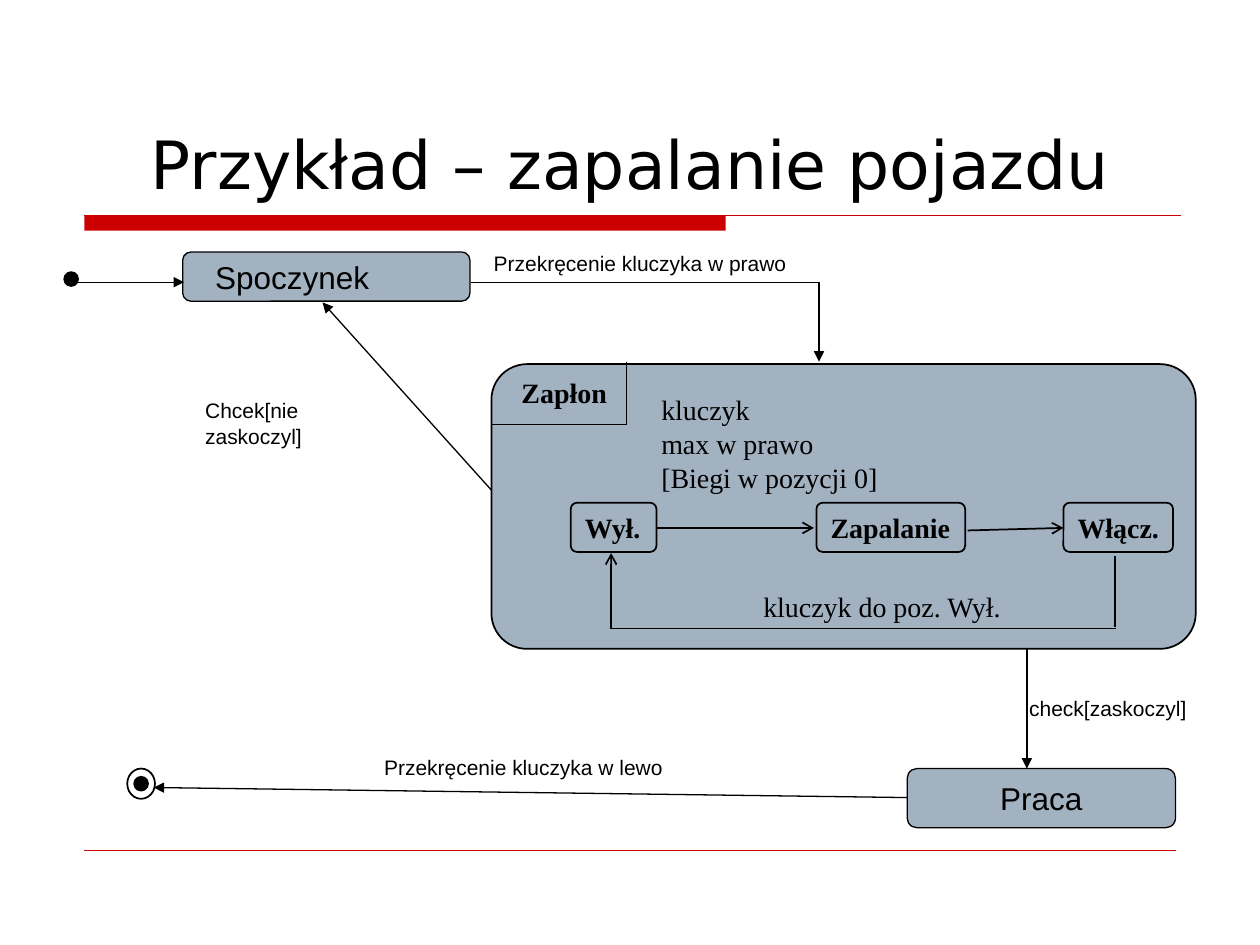
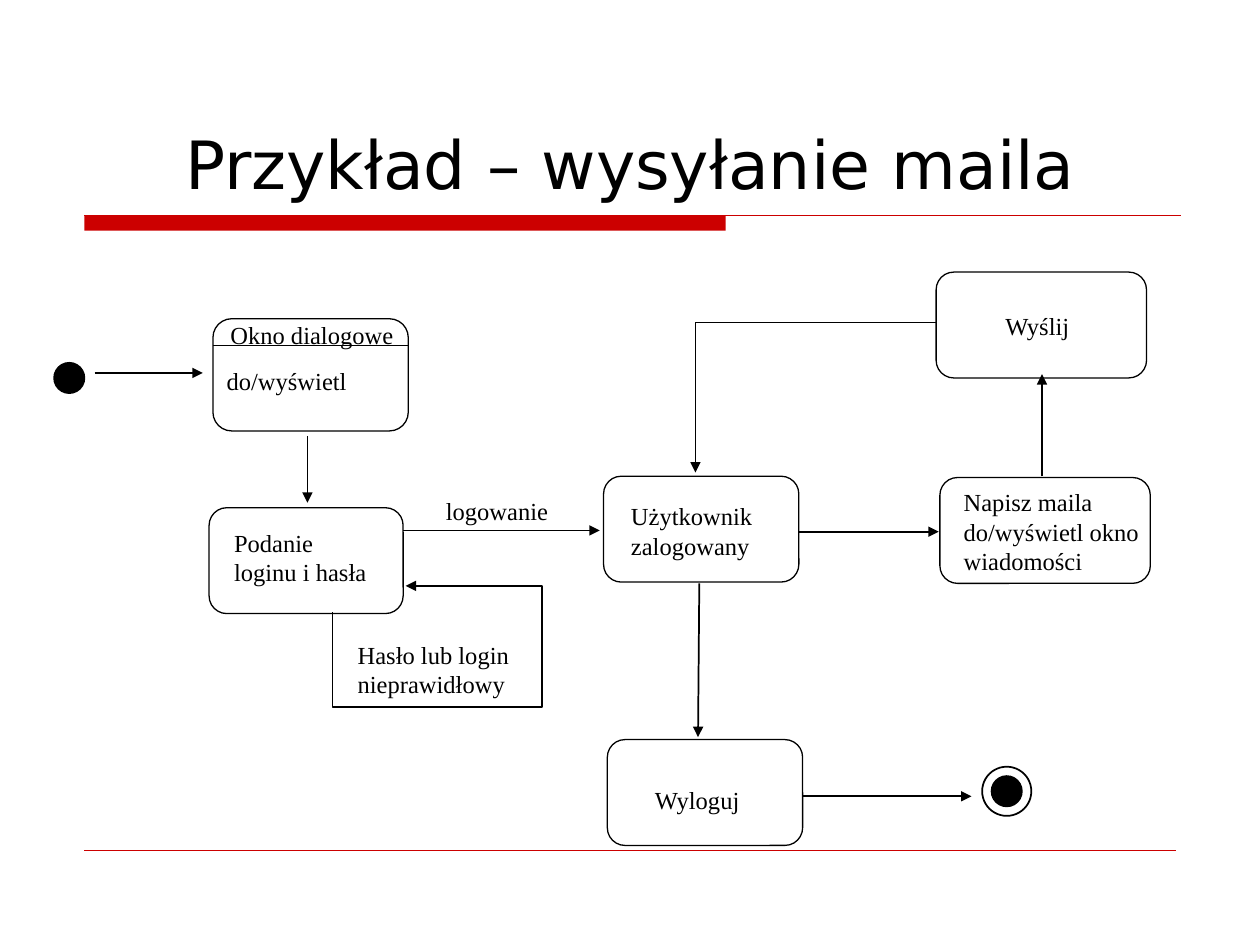
from lxml import etree
from pptx import Presentation
from pptx.dml.color import RGBColor
from pptx.enum.shapes import MSO_CONNECTOR as CONNECTOR, MSO_SHAPE as SHAPE
from pptx.enum.text import MSO_ANCHOR as ANCHOR, PP_ALIGN as ALIGN
from pptx.oxml.ns import qn
from pptx.util import Inches, Pt

BLACK = "000000"
RED = "CC0000"
STEEL = "A3B2C1"
SANS, SERIF, TITLE_FONT = "Arial", "Times New Roman", "DejaVu Sans"


def color(hex_string):
    return RGBColor.from_string(hex_string)


def inches(*lengths):
    return [Inches(length) for length in lengths]


def write(shape, text, size=14, font=SERIF, bold=False, align=ALIGN.LEFT,
          anchor=ANCHOR.TOP, wrap=True):
    """Fill a shape with text, one paragraph for each line."""
    frame = shape.text_frame
    frame.word_wrap = wrap
    frame.vertical_anchor = anchor
    frame.text = text
    for paragraph in frame.paragraphs:
        paragraph.alignment = align
        paragraph.font.size = Pt(size)
        paragraph.font.name = font
        paragraph.font.bold = bold
        paragraph.font.color.rgb = color(BLACK)


def add_label(slide, text, left, top, width, height, **text_format):
    box = slide.shapes.add_textbox(*inches(left, top, width, height))
    write(box, text, **text_format)


def style_line(shape, line_color, width):
    shape.line.color.rgb = color(line_color)
    shape.line.width = Pt(width)


def style_shape(shape, fill=None, line_color=BLACK, width=1):
    shape.shadow.inherit = False
    if fill:
        shape.fill.solid()
        shape.fill.fore_color.rgb = color(fill)
    else:
        shape.fill.background()
    style_line(shape, line_color, width)


def add_state(slide, left, top, width, height, fill=None, line_width=0.75,
              corner=0.167):
    state = slide.shapes.add_shape(SHAPE.ROUNDED_RECTANGLE,
                                   *inches(left, top, width, height))
    state.adjustments[0] = corner
    style_shape(state, fill, width=line_width)
    return state


def add_circle(slide, center_x, center_y, width, height=None, fill=None):
    height = height or width
    circle = slide.shapes.add_shape(
        SHAPE.OVAL, *inches(center_x - width / 2, center_y - height / 2, width, height))
    style_shape(circle, fill)


def add_arrowhead(shape, head):
    etree.SubElement(shape.line._get_or_add_ln(), qn("a:tailEnd"), type=head)


def add_line(slide, start, end, width=1, head=None, line_color=BLACK):
    line = slide.shapes.add_connector(CONNECTOR.STRAIGHT, *inches(*start, *end))
    style_line(line, line_color, width)
    if head:
        add_arrowhead(line, head)
    etree.SubElement(line._element.spPr, qn("a:effectLst"))


def add_loop(slide, points, head):
    """Draw an open bent line that ends in an arrowhead."""
    start, *rest = [tuple(inches(*point)) for point in points]
    builder = slide.shapes.build_freeform(*start)
    builder.add_line_segments(rest, close=False)
    loop = builder.convert_to_shape()
    style_shape(loop)
    add_arrowhead(loop, head)


def add_titled_slide(presentation, title):
    slide = presentation.slides.add_slide(presentation.slide_layouts[6])
    band = slide.shapes.add_shape(SHAPE.RECTANGLE, *inches(0.67, 1.71, 5.09, 0.12))
    style_shape(band, RED)
    band.line.fill.background()
    add_line(slide, (0.67, 1.71), (9.37, 1.71), 0.75, line_color=RED)
    add_line(slide, (0.67, 6.75), (9.33, 6.75), 0.25, line_color=RED)
    add_label(slide, title, 0.63, 0.33, 8.75, 1.33, size=38, font=TITLE_FONT,
              align=ALIGN.CENTER, anchor=ANCHOR.BOTTOM)
    return slide


def add_ignition_state(slide):
    add_state(slide, 3.9, 2.89, 5.59, 2.26, STEEL, 1, 0.125)
    add_label(slide, "Zapłon", 4.04, 2.93, 0.88, 0.36, size=16, bold=True, wrap=False)
    add_line(slide, (3.9, 3.37), (4.98, 3.37), 0.75)
    add_line(slide, (4.97, 3.37), (4.97, 2.87), 0.75)

    for name, left, width in (("Wył.", 4.53, 0.68), ("Zapalanie", 6.48, 1.18),
                              ("Włącz.", 8.44, 0.87)):
        state = add_state(slide, left, 3.99, width, 0.39, line_width=1, corner=0.125)
        write(state, name, size=16, bold=True, wrap=False)

    add_label(slide, "kluczyk\nmax w prawo\n[Biegi w pozycji 0]",
              5.15, 3.07, 1.92, 0.9, size=16, wrap=False)
    add_label(slide, "kluczyk do poz. Wył.", 5.96, 4.63, 2.1, 0.36, size=16, wrap=False)
    add_line(slide, (5.21, 4.19), (6.46, 4.19), head="arrow")
    add_line(slide, (7.68, 4.21), (8.44, 4.19), head="arrow")
    add_line(slide, (8.85, 4.41), (8.85, 4.98))
    add_line(slide, (8.86, 4.99), (4.84, 4.99), 0.75)
    add_line(slide, (4.85, 4.99), (4.85, 4.39), head="arrow")


def build_vehicle_slide(presentation):
    slide = add_titled_slide(presentation, "Przykład – zapalanie pojazdu")
    add_state(slide, 1.45, 2, 2.28, 0.39, STEEL)
    add_label(slide, "Spoczynek", 1.61, 2, 2.05, 0.4, size=18, font=SANS)
    add_ignition_state(slide)
    work = add_state(slide, 7.2, 6.1, 2.13, 0.47, STEEL)
    write(work, "Praca", size=18, font=SANS, align=ALIGN.CENTER,
          anchor=ANCHOR.MIDDLE, wrap=False)

    add_circle(slide, 0.565, 2.215, 0.11, fill=BLACK)
    add_circle(slide, 1.12, 6.22, 0.22, 0.24)
    add_circle(slide, 1.12, 6.22, 0.11, fill=BLACK)

    add_line(slide, (3.74, 2.24), (6.49, 2.24), 0.75)
    for start, end in (((0.59, 2.24), (1.46, 2.24)),
                       ((6.5, 2.24), (6.5, 2.87)),
                       ((3.9, 3.89), (2.56, 2.4)),
                       ((8.15, 5.15), (8.15, 6.1)),
                       ((7.2, 6.33), (1.22, 6.25))):
        add_line(slide, start, end, 0.75, "triangle")

    for text, left, top, width, wrap in (
            ("Przekręcenie kluczyka w prawo", 3.82, 1.94, 2.91, True),
            ("Przekręcenie kluczyka w lewo", 2.95, 5.94, 2.91, True),
            ("check[zaskoczyl]", 8.07, 5.47, 1.45, False),
            ("Chcek[nie zaskoczyl]", 1.53, 3.11, 1.75, False)):
        add_label(slide, text, left, top, width, 0.3, size=12, font=SANS, wrap=wrap)


def build_mail_slide(presentation):
    slide = add_titled_slide(presentation, "Przykład – wysyłanie maila")
    for left, top, width, height in ((1.69, 2.53, 1.55, 0.89),
                                     (1.66, 4.03, 1.54, 0.84),
                                     (4.79, 3.78, 1.55, 0.84),
                                     (4.82, 5.87, 1.55, 0.84),
                                     (7.46, 3.79, 1.67, 0.84),
                                     (7.43, 2.16, 1.67, 0.84)):
        add_state(slide, left, top, width, height)

    for text, left, top, width, height in (
            ("Okno dialogowe", 1.73, 2.49, 1.52, 0.34),
            ("do/wyświetl", 1.7, 2.86, 1.52, 0.34),
            ("Podanie loginu i hasła", 1.76, 4.14, 1.37, 0.57),
            ("Hasło lub login nieprawidłowy", 2.74, 5.03, 1.52, 0.57),
            ("logowanie", 3.44, 3.89, 1.52, 0.34),
            ("Użytkownik zalogowany", 4.91, 3.93, 1.37, 0.57),
            ("Wyloguj", 5.1, 6.18, 1.37, 0.34),
            ("Napisz maila\ndo/wyświetl okno wiadomości", 7.55, 3.82, 1.7, 0.8),
            ("Wyślij", 7.88, 2.42, 0.95, 0.34)):
        add_label(slide, text, left, top, width, height)

    add_circle(slide, 0.55, 3, 0.24, fill=BLACK)
    add_circle(slide, 7.99, 6.28, 0.24, fill=BLACK)
    add_circle(slide, 7.99, 6.28, 0.39)

    add_line(slide, (1.69, 2.74), (3.24, 2.74), 0.75)
    add_line(slide, (5.52, 2.56), (7.43, 2.56), 0.75)
    for start, end in (((0.75, 2.96), (1.61, 2.96)),
                       ((2.44, 3.46), (2.44, 3.99)),
                       ((3.2, 4.21), (4.76, 4.21)),
                       ((5.55, 4.63), (5.54, 5.85)),
                       ((6.37, 6.32), (7.71, 6.32)),
                       ((6.34, 4.22), (7.45, 4.22)),
                       ((8.27, 3.78), (8.27, 2.97)),
                       ((5.52, 2.56), (5.52, 3.75))):
        add_line(slide, start, end, head="triangle")
    add_loop(slide, ((2.64, 4.86), (2.64, 5.61), (4.3, 5.61), (4.3, 4.65), (3.22, 4.65)),
             "triangle")


def main():
    presentation = Presentation()
    presentation.slide_width = Inches(10)
    presentation.slide_height = Inches(7.5)
    build_vehicle_slide(presentation)
    build_mail_slide(presentation)
    presentation.save("out.pptx")


if __name__ == "__main__":
    main()
